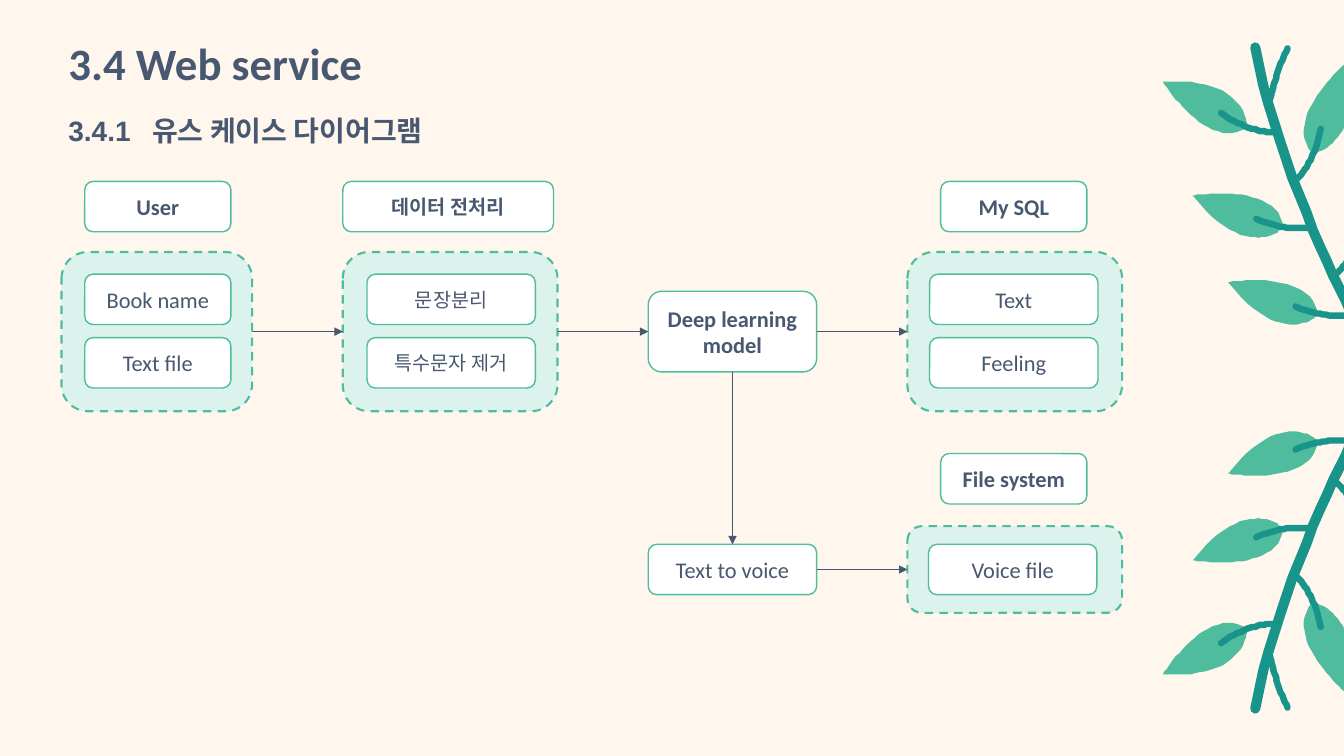
from lxml.etree import SubElement
from pptx import Presentation
from pptx.dml.color import RGBColor
from pptx.enum.dml import MSO_LINE
from pptx.enum.shapes import MSO_CONNECTOR, MSO_SHAPE
from pptx.enum.text import MSO_ANCHOR, PP_ALIGN
from pptx.oxml.ns import qn
from pptx.util import Emu, Pt

PX = 9144  # 100 px to the inch
WIDTH, HEIGHT = 1333, 750
COLORS = {"cream": "FFF7EE", "ink": "475870", "white": "FFFFFF",
          "green": "4FBC9E", "mint": "DCF2EC", "teal": "18948B"}

TITLE = "3.4 Web service"
SUBTITLE = "3.4.1\t유스 케이스 다이어그램"
SUBTITLE_TAB = 83

# Boxes are (left, top, width, height); items are stacked from first_item down.
STORES = {
    "user": dict(header="User", header_box=(84, 180, 145, 50), panel=(61, 250, 189, 158),
                 items=["Book name", "Text file"], first_item=(84, 272, 145, 50), size=16),
    "cleaning": dict(header="데이터 전처리", header_box=(340, 180, 209, 50),
                     panel=(340, 250, 213, 158), items=["문장분리", "특수문자 제거"],
                     first_item=(364, 272, 167, 50), size=14),
    "database": dict(header="My SQL", header_box=(933, 180, 145, 50),
                     panel=(900, 250, 213, 158), items=["Text", "Feeling"],
                     first_item=(922, 272, 167, 50), size=16),
    "files": dict(header="File system", header_box=(933, 450, 145, 50),
                  panel=(900, 522, 213, 86), items=["Voice file"],
                  first_item=(921, 540, 167, 50), size=16),
}
ITEM_PITCH = 63
STEPS = {
    "model": dict(lines=["Deep learning", "model"], box=(643, 289, 167, 80), bold=True),
    "voice": dict(lines=["Text to voice"], box=(643, 540, 167, 50), bold=False),
}
TOP, LEFT, BOTTOM, RIGHT = range(4)
ARROWS = [("user", RIGHT, "cleaning", LEFT), ("cleaning", RIGHT, "model", LEFT),
          ("model", RIGHT, "database", LEFT), ("model", BOTTOM, "voice", TOP),
          ("voice", RIGHT, "files", LEFT)]

# Upper plant; the lower one mirrors it. Leaf: base, tip, bend out, bend back.
LEAVES = [
    ((1237, 126), (1153, 81), (1239, 76), (1199, 153)),
    ((1302, 152), (1335, 63), (1351, 148), (1270, 118)),
    ((1273, 226), (1183, 194), (1237, 262), (1268, 180)),
    ((1307, 313), (1218, 280), (1272, 348), (1302, 266)),
]
# Branch: start, bend, end, line width in points.
BRANCHES = [
    ((1365, 358), (1274, 197), (1245, 47), 7.2),
    ((1263, 131), (1238, 132), (1211, 112), 4.6),
    ((1286, 178), (1304, 162), (1310, 128), 4.6),
    ((1326, 271), (1345, 255), (1351, 222), 4.6),
    ((1300, 225), (1276, 231), (1246, 217), 4.6),
    ((1339, 312), (1315, 317), (1285, 304), 4.6),
    ((1260, 98), (1265, 73), (1277, 48), 4.6),
]
CURVE_STEPS = 24


def color(name):
    return RGBColor.from_string(COLORS[name])


def emu(*lengths):
    return [Emu(length * PX) for length in lengths]


def write(shape, lines, size, bold=False, font="Calibri", align=PP_ALIGN.LEFT,
          anchor=MSO_ANCHOR.TOP, spacing=None, tab=None):
    frame = shape.text_frame
    frame.word_wrap = True
    frame.vertical_anchor = anchor
    for index, line in enumerate(lines):
        para = frame.add_paragraph() if index else frame.paragraphs[0]
        para.alignment = align
        if spacing:
            para.line_spacing = spacing
        if tab:
            tabs = SubElement(para._p.get_or_add_pPr(), qn("a:tabLst"))
            SubElement(tabs, qn("a:tab"), pos=str(tab * PX), algn="l")
        span = para.add_run()
        span.text = line
        span.font.name, span.font.size, span.font.bold = font, Pt(size), bold
        span.font.color.rgb = color("ink")


def add_box(page, box, fill="white", line_width=1, dashed=False):
    shape = page.shapes.add_shape(MSO_SHAPE.ROUNDED_RECTANGLE, *emu(*box))
    shape.shadow.inherit = False
    shape.fill.solid()
    shape.fill.fore_color.rgb = color(fill)
    shape.line.color.rgb = color("green")
    shape.line.width = Pt(line_width)
    if dashed:
        shape.line.dash_style = MSO_LINE.DASH
    return shape


def add_label(page, box, lines, size, bold=False):
    shape = add_box(page, box)
    write(shape, lines, size, bold, align=PP_ALIGN.CENTER, anchor=MSO_ANCHOR.MIDDLE)
    return shape


def add_store(page, header, header_box, panel, items, first_item, size):
    add_label(page, header_box, [header], size, bold=True)
    panel_shape = add_box(page, panel, "mint", 1.5, dashed=True)
    left, top, width, height = first_item
    for row, item in enumerate(items):
        add_label(page, (left, top + row * ITEM_PITCH, width, height), [item], size)
    return panel_shape


def add_arrow(page, source, source_side, target, target_side):
    arrow = page.shapes.add_connector(MSO_CONNECTOR.STRAIGHT, 0, 0, 0, 0)
    arrow.begin_connect(source, source_side)
    arrow.end_connect(target, target_side)
    arrow.line.color.rgb = color("ink")
    arrow.line.width = Pt(0.5)
    SubElement(arrow.line._get_or_add_ln(), qn("a:tailEnd"), type="triangle")
    SubElement(arrow._element.spPr, qn("a:effectLst"))


def curve(start, bend, end):
    """Points of a cubic curve whose first control point is its start."""
    points = []
    for step in range(CURVE_STEPS + 1):
        t = step / CURVE_STEPS
        weights = ((1 - t) ** 3 + 3 * t * (1 - t) ** 2, 3 * t * t * (1 - t), t ** 3)
        points.append(tuple(sum(weight * point[axis] for weight, point
                                in zip(weights, (start, bend, end))) for axis in (0, 1)))
    return points


def add_outline(plant, points, mirrored, close):
    if mirrored:
        points = [(x, HEIGHT - y) for x, y in points]
    builder = plant.shapes.build_freeform(*points[0], scale=PX)
    builder.add_line_segments(points[1:], close=close)
    shape = builder.convert_to_shape()
    shape.shadow.inherit = False
    return shape


def add_plant(page, mirrored):
    plant = page.shapes.add_group_shape()
    for base, tip, bend_out, bend_back in LEAVES:
        points = curve(base, bend_out, tip) + curve(tip, bend_back, base)[1:]
        leaf = add_outline(plant, points, mirrored, close=True)
        leaf.fill.solid()
        leaf.fill.fore_color.rgb = color("green")
        leaf.line.fill.background()
    for start, bend, end, width in BRANCHES:
        branch = add_outline(plant, curve(start, bend, end), mirrored, close=False)
        branch.fill.background()
        branch.line.color.rgb = color("teal")
        branch.line.width = Pt(width)
        branch.line._get_or_add_ln().set("cap", "rnd")


def main():
    deck = Presentation()
    deck.slide_width, deck.slide_height = emu(WIDTH, HEIGHT)
    page = deck.slides.add_slide(deck.slide_layouts[6])
    page.background.fill.solid()
    page.background.fill.fore_color.rgb = color("cream")

    write(page.shapes.add_textbox(*emu(58, 37, 502, 71)), [TITLE], 32, True, spacing=0.9)
    for mirrored in (True, False):
        add_plant(page, mirrored)
    nodes = {name: add_store(page, **store) for name, store in STORES.items()}
    for name, step in STEPS.items():
        nodes[name] = add_label(page, step["box"], step["lines"], 16, step["bold"])
    for source, source_side, target, target_side in ARROWS:
        add_arrow(page, nodes[source], source_side, nodes[target], target_side)
    write(page.shapes.add_textbox(*emu(58, 108, 902, 44)), [SUBTITLE], 20, True,
          font="Arial", tab=SUBTITLE_TAB)
    deck.save("out.pptx")


if __name__ == "__main__":
    main()
